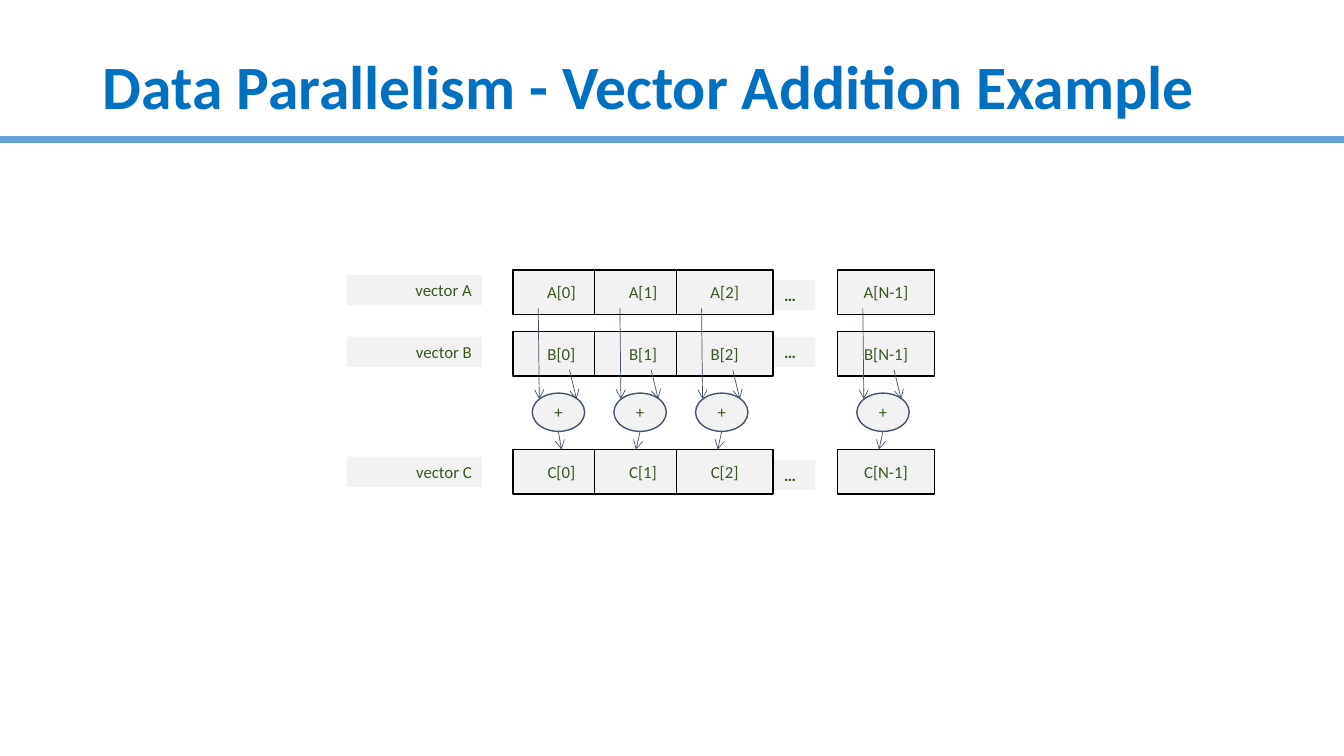
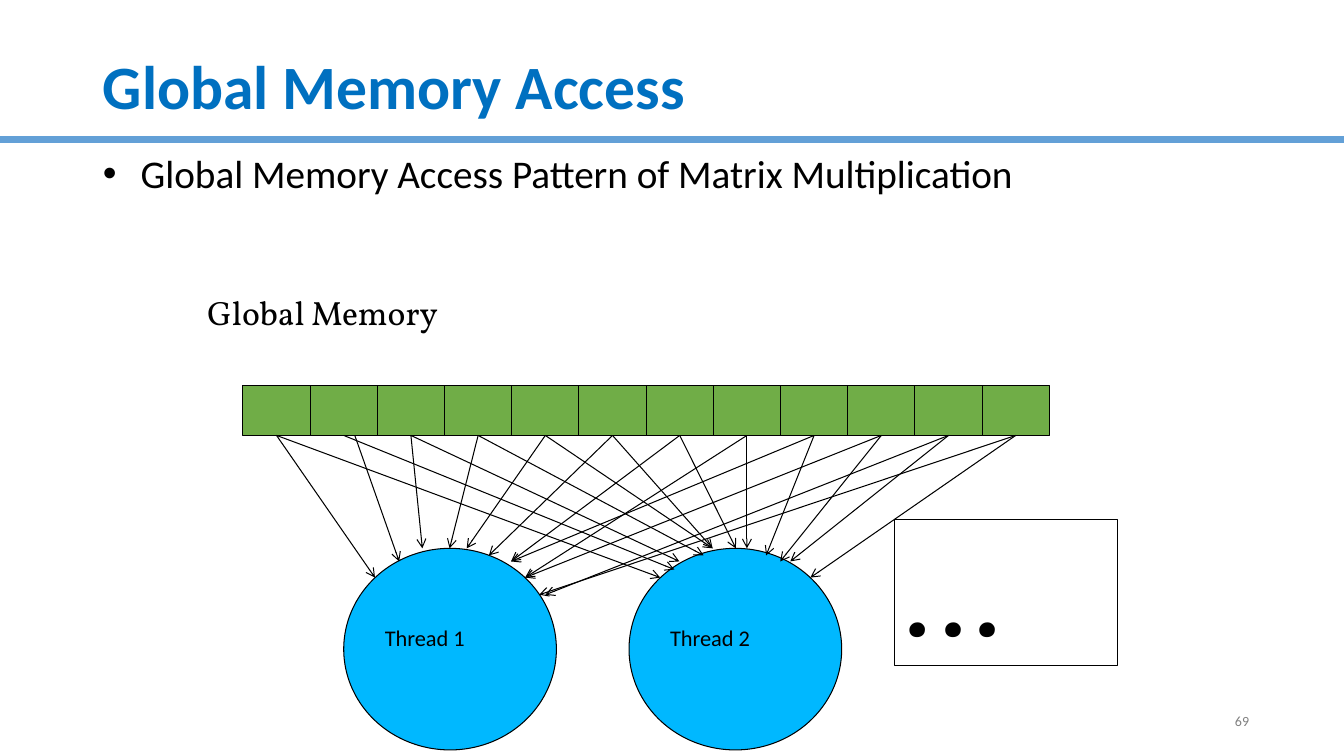
"""Build two parallel computing slides: vector addition and global memory access."""
import dataclasses

import lxml.etree
import pptx
import pptx.dml.color
import pptx.enum.shapes
import pptx.enum.text
import pptx.oxml.ns
import pptx.util

ALIGN = pptx.enum.text.PP_ALIGN
ANCHOR = pptx.enum.text.MSO_ANCHOR
FIT = pptx.enum.text.MSO_AUTO_SIZE
SHAPE = pptx.enum.shapes.MSO_SHAPE
COLUMNS, ROWS = 133.33, 75
TOP, BOTTOM = 0, 2


@dataclasses.dataclass(frozen=True)
class Theme:
    """Hold the colours, fonts and type sizes of the deck."""
    title: str = "0070C0"
    band: str = "63A0D7"
    ink: str = "000000"
    panel: str = "F2F2F2"
    label: str = "385723"
    slate: str = "44546A"
    memory: str = "70AD47"
    thread: str = "00B8FF"
    muted: str = "808080"
    sans: str = "Calibri"
    serif: str = "Vollkorn"
    title_size: int = 44
    body_size: int = 28
    heading_size: int = 24
    thread_size: int = 16
    label_size: int = 12
    number_size: int = 10
    dots_size: int = 80


THEME = Theme()
CENTRED = {"alignment": ALIGN.CENTER}
MIDDLE = {"vertical_anchor": ANCHOR.MIDDLE, "word_wrap": True}
GROW = {"vertical_anchor": ANCHOR.TOP, "word_wrap": True, "auto_size": FIT.SHAPE_TO_FIT_TEXT}


def grid(n):
    """Return the length of n grid units, each a tenth of an inch."""
    return pptx.util.Inches(n / 10)


def rgb(value):
    """Return a colour from its hex value."""
    return pptx.dml.color.RGBColor.from_string(value)


def put(obj, values):
    """Set the attributes of an object from a dict."""
    for name, value in values.items():
        setattr(obj, name, value)


def place(sp, box):
    """Move and size a shape on the grid."""
    put(sp, dict(zip(("left", "top", "width", "height"), map(grid, box))))


def write(sp, text, size, color, frame, para=None, bold=False, font=THEME.sans):
    """Write one formatted paragraph into a shape."""
    tf = sp.text_frame
    put(tf, frame)
    p = tf.paragraphs[0]
    put(p, {"alignment": ALIGN.LEFT, **(para or {})})
    r = p.add_run()
    r.text = text
    put(r.font, {"name": font, "size": pptx.util.Pt(size), "bold": bold})
    r.font.color.rgb = rgb(color)
    return p


def add_figure(s, kind, box, fill=None, line=None, width=1):
    """Add a flat preset shape."""
    sp = s.shapes.add_shape(kind, *map(grid, box))
    sp.shadow.inherit = False
    if fill:
        sp.fill.solid()
        sp.fill.fore_color.rgb = rgb(fill)
    else:
        sp.fill.background()
    if line:
        sp.line.color.rgb = rgb(line)
        sp.line.width = pptx.util.Pt(width)
    else:
        sp.line.fill.background()
    return sp


def add_label(s, text, box, para=None, bold=False):
    """Add a small shaded label."""
    sp = add_figure(s, SHAPE.RECTANGLE, box, THEME.panel)
    write(sp, text, THEME.label_size, THEME.label, GROW, para, bold)


def add_node(s, kind, text, box, line):
    """Add an outlined shape with a centred label."""
    sp = add_figure(s, kind, box, THEME.panel, line)
    write(sp, text, THEME.label_size, THEME.label, MIDDLE, CENTRED)
    return sp


def add_line(s, start, end, color, width, arrow=True, begin=None, finish=None):
    """Add a straight line, joined to the begin and finish shapes if given."""
    c = s.shapes.add_connector(pptx.enum.shapes.MSO_CONNECTOR.STRAIGHT,
                               *map(grid, (*start, *end)))
    c.line.color.rgb = rgb(color)
    c.line.width = pptx.util.Pt(width)
    qn = pptx.oxml.ns.qn
    props = c.element.spPr
    if arrow:
        lxml.etree.SubElement(props.find(qn("a:ln")), qn("a:tailEnd"), type="arrow")
    lxml.etree.SubElement(props, qn("a:effectLst"))
    if begin is not None:
        c.begin_connect(begin, BOTTOM)
    if finish is not None:
        c.end_connect(finish, TOP)
    return c


def add_band(prs, s):
    """Put the band under the titles on the slide master."""
    c = add_line(s, (COLUMNS, 13.8), (0, 13.8), THEME.band, 5, arrow=False)
    c.element.nvCxnSpPr.cNvPr.id = 99
    prs.slide_master.shapes.element.append(c.element)


def add_slide(prs, layout, title):
    """Add a slide with the shared title style."""
    s = prs.slides.add_slide(prs.slide_layouts.get_by_name(layout))
    place(s.shapes.title, (9.2, 4, 115, 9.8))
    write(s.shapes.title, title, THEME.title_size, THEME.title,
          {**MIDDLE, "auto_size": FIT.NONE}, {"line_spacing": 0.9}, bold=True)
    return s


def add_bullet(s, text):
    """Fill the body placeholder with one bullet."""
    sp = s.placeholders[1]
    place(sp, (9.2, 14.8, 115, 12.6))
    props = sp.text_frame.paragraphs[0]._p.get_or_add_pPr()
    put(props, {"marL": grid(2.5), "indent": grid(-2.5)})
    lxml.etree.SubElement(props, pptx.oxml.ns.qn("a:buChar"), char="•")
    write(sp, text, THEME.body_size, THEME.ink,
          {"vertical_anchor": ANCHOR.TOP, "auto_size": FIT.NONE},
          {"line_spacing": 0.9, "space_before": pptx.util.Pt(0)})


def add_vectors(s):
    """Draw vectors A and B added element by element into C."""
    lefts = {"0": 50.9, "1": 59, "2": 67.1, "N-1": 83.1}
    rows = {"A": (26.8, 27.3, 27.8), "B": (32.9, 33.4, 33.4), "C": (44.6, 45.3, 45.6)}
    cells = {}
    for name, (top, label_top, dots_top) in rows.items():
        add_label(s, f"vector {name}", (34.4, label_top, 13.4, 3), {"alignment": ALIGN.RIGHT})
        for index, left in lefts.items():
            cells[name, index] = add_node(s, SHAPE.RECTANGLE, f"{name}[{index}]",
                                          (left, top, 9.6, 4.4), THEME.ink)
        add_label(s, "…", (76.8, dots_top, 4.1, 3), bold=True)
    for index, left in lefts.items():
        add_node(s, SHAPE.OVAL, "+", (left + 1.9, 39, 5.2, 3.8), THEME.slate)
        first = cells["C", index] if index == "0" else None
        for (x1, y1), (x2, y2), target in (((2.5, 30.6), (2.6, 39.6), None),
                                           ((5.6, 36.7), (6.3, 39.6), None),
                                           ((4.5, 42.8), (4.1, 44.6), first)):
            add_line(s, (left + x1, y1), (left + x2, y2), THEME.slate, 0.5, finish=target)


def add_memory(s):
    """Draw the memory cells and the threads that read them."""
    step = 80 / 12
    cells = [add_figure(s, SHAPE.RECTANGLE, (24.1 + i * step, 38.2, step, 5),
                        THEME.memory, THEME.ink, 0.75) for i in range(12)]
    reads = {
        "Thread 1": (34.1, ((37.2, 57.3), (39.6, 55.7), (41.9, 54.4), (44.6, 54.4),
                            (46.3, 54.4), (48.5, 55.1), (50.7, 55.7), (52.1, 57.3),
                            (50.7, 55.7), (52.1, 57.3), (54.1, 59), (53.5, 59))),
        "Thread 2": (62.4, ((65.5, 57.3), (66.9, 56.5), (67.4, 55.7), (69.8, 55.1),
                            (70.7, 54.4), (70.7, 54.4), (73, 54.4), (74.1, 54.4),
                            (76, 55.1), (77.4, 55.7), (78.4, 55.7), (80.4, 57.3))),
    }
    for name, (left, _) in reads.items():
        sp = add_figure(s, SHAPE.OVAL, (left, 54.4, 21.1, 20), THEME.thread, THEME.ink, 0.75)
        write(sp, name, THEME.thread_size, THEME.ink,
              {"vertical_anchor": ANCHOR.TOP, "word_wrap": True, "margin_top": grid(4.6)})
    for name, (_, ends) in reads.items():
        for i, (cell, end) in enumerate(zip(cells, ends)):
            offset = (name, i) == ("Thread 1", 1)
            add_line(s, (35.2, 43.2), end, THEME.ink, 0.75, begin=None if offset else cell)


def add_memory_text(s):
    """Add the heading, the box of dots and the page number."""
    dots = add_figure(s, SHAPE.RECTANGLE, (88.7, 51.5, 22.2, 14.5), line=THEME.ink, width=0.75)
    write(dots, "…", THEME.dots_size, THEME.ink, GROW, font=THEME.serif)
    heading = s.shapes.add_textbox(*map(grid, (19.6, 28.5, 25.6, 5)))
    write(heading, "Global Memory", THEME.heading_size, THEME.ink,
          {**GROW, "word_wrap": False}, font=THEME.serif)
    number = s.shapes.add_textbox(*map(grid, (94.9, 69.5, 30, 4)))
    write(number, "69", THEME.number_size, THEME.muted, MIDDLE, {"alignment": ALIGN.RIGHT})


def main():
    """Build and save the deck."""
    prs = pptx.Presentation()
    put(prs, {"slide_width": grid(COLUMNS), "slide_height": grid(ROWS)})
    s = add_slide(prs, "Title Only", "Data Parallelism - Vector Addition Example")
    add_band(prs, s)
    add_vectors(s)
    s = add_slide(prs, "Title and Content", "Global Memory Access")
    add_bullet(s, "Global Memory Access Pattern of Matrix Multiplication")
    add_memory(s)
    add_memory_text(s)
    prs.save("out.pptx")


if __name__ == "__main__":
    main()
